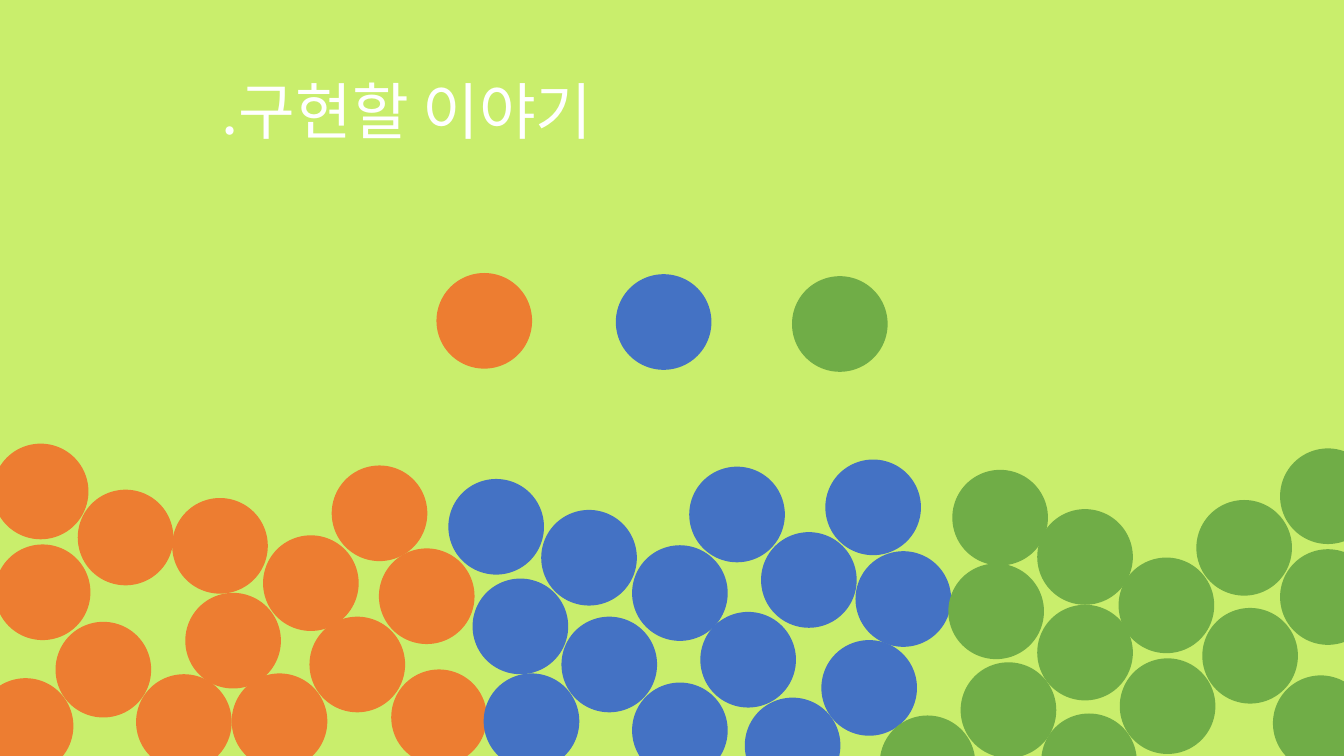
from dataclasses import dataclass

from lxml.etree import SubElement
from pptx import Presentation
from pptx.dml.color import RGBColor
from pptx.enum.shapes import MSO_SHAPE
from pptx.oxml.ns import qn
from pptx.shapes.autoshape import Shape
from pptx.slide import Slide
from pptx.util import Cm, Pt

LIME = RGBColor(0xC9, 0xEE, 0x6C)
ORANGE = RGBColor(0xED, 0x7D, 0x31)
BLUE = RGBColor(0x44, 0x72, 0xC4)
GREEN = RGBColor(0x70, 0xAD, 0x47)
WHITE = RGBColor(0xFF, 0xFF, 0xFF)

FONT = "Noto Sans CJK KR"
SLIDE_WIDTH, SLIDE_HEIGHT = Cm(33.87), Cm(19.05)
BALL_SIZE = Cm(2.41)


@dataclass(frozen=True)
class BallGroup:
    """Balls of one colour: a single one above and a pile below (left, top in cm)."""
    color: RGBColor
    single: tuple[float, float]
    pile: list[tuple[float, float]]


BALL_GROUPS = [
    BallGroup(ORANGE, (11, 6.88), [
        (-0.56, 17.09), (1.4, 15.67), (3.43, 16.99), (5.84, 16.97), (7.8, 15.54),
        (9.86, 16.87), (8.36, 11.73), (4.67, 14.94), (6.63, 13.49), (9.55, 13.82),
        (-0.13, 13.72), (1.96, 12.34), (4.34, 12.55), (-0.18, 11.18),
    ]),
    BallGroup(BLUE, (15.52, 6.91), [
        (13.64, 12.85), (11.91, 14.58), (15.93, 13.74), (17.65, 15.42), (19.18, 13.41),
        (12.19, 16.97), (14.15, 15.54), (15.93, 17.2), (18.77, 17.58), (20.7, 16.13),
        (21.56, 13.89), (20.8, 11.58), (17.37, 11.76), (11.3, 12.07),
    ]),
    BallGroup(GREEN, (19.96, 6.96), [
        (24.21, 16.69), (26.14, 15.24), (32.08, 17.02), (28.19, 14.05), (30.15, 12.6),
        (30.3, 15.32), (23.9, 14.2), (28.22, 16.59), (26.14, 12.83), (26.24, 17.98),
        (22.17, 18.03), (32.26, 13.84), (24, 11.84), (32.26, 11.3),
    ]),
]


def add_flat_shape(slide: Slide, kind: MSO_SHAPE, left: int, top: int,
                   width: int, height: int, color: RGBColor) -> Shape:
    shape = slide.shapes.add_shape(kind, left, top, width, height)
    shape.shadow.inherit = False
    shape.fill.solid()
    shape.fill.fore_color.rgb = color
    shape.line.fill.background()
    return shape


def add_balls(slide: Slide, group: BallGroup) -> None:
    for left, top in [*group.pile, group.single]:
        add_flat_shape(slide, MSO_SHAPE.OVAL, Cm(left), Cm(top),
                       BALL_SIZE, BALL_SIZE, group.color)


def place_heading(slide: Slide, text: str) -> None:
    heading = slide.shapes.title
    heading.left, heading.top = Cm(5.33), Cm(1.7)
    heading.width, heading.height = Cm(12.88), Cm(2.13)
    heading.text_frame.text = text
    paragraph = heading.text_frame.paragraphs[0]
    paragraph.alignment = 1  # left
    paragraph.font.name = FONT
    paragraph.font.size = Pt(44)
    paragraph.font.color.rgb = WHITE
    # Korean glyphs take the East Asian typeface
    defaults = next(heading.element.iter(qn("a:defRPr")))
    SubElement(defaults, qn("a:ea"), typeface=FONT)
    # Bring the heading in front of the backdrop
    slide.shapes.element.append(heading.element)


def main() -> None:
    presentation = Presentation()
    presentation.slide_width, presentation.slide_height = SLIDE_WIDTH, SLIDE_HEIGHT
    slide = presentation.slides.add_slide(presentation.slide_layouts[5])

    # Backdrop
    add_flat_shape(slide, MSO_SHAPE.RECTANGLE, 0, 0, SLIDE_WIDTH, SLIDE_HEIGHT, LIME)

    # Balls
    for group in BALL_GROUPS:
        add_balls(slide, group)

    # Heading
    place_heading(slide, ".구현할 이야기")

    presentation.save("out.pptx")


if __name__ == "__main__":
    main()
